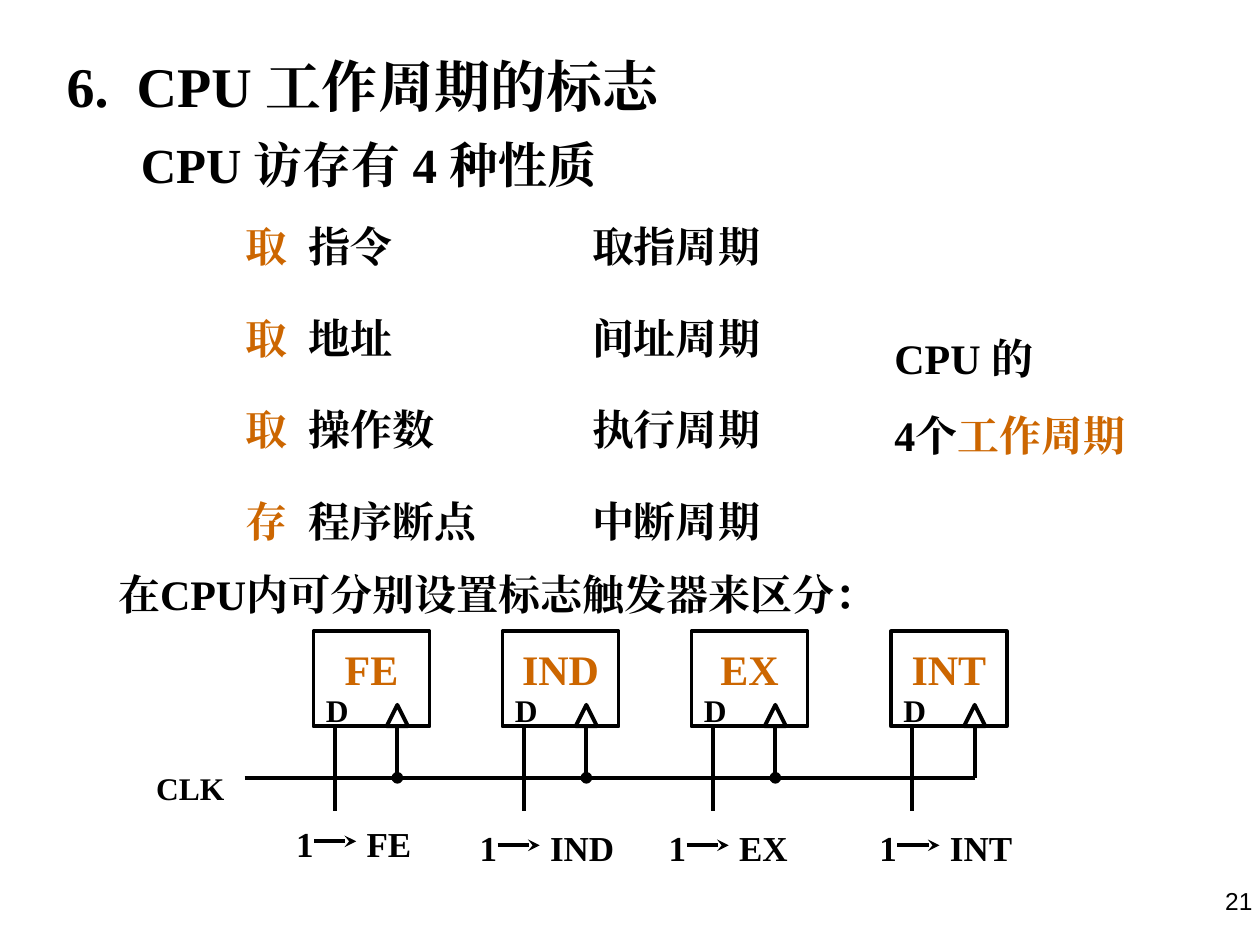
from dataclasses import dataclass

import pptx
import pptx.dml.color
import pptx.enum.shapes
import pptx.enum.text
import pptx.oxml.ns
import pptx.util
from lxml import etree

Cm = pptx.util.Cm
Pt = pptx.util.Pt
ALIGN = pptx.enum.text.PP_ALIGN
SHAPES = pptx.enum.shapes.MSO_SHAPE
qn = pptx.oxml.ns.qn


@dataclass(frozen=True)
class Theme:
    """Colours, typefaces and sizes of the slide."""
    ink: str = "000000"
    accent: str = "CC6600"
    serif: str = "Times New Roman"
    sans: str = "Arial"
    title: int = 32
    subtitle: int = 28
    body: int = 24
    signal: int = 20
    pin: int = 18
    number: int = 14
    line: float = 2.25


THEME = Theme()


def rgb(value):
    """Return a colour from its hex value."""
    return pptx.dml.color.RGBColor.from_string(value)


def apply(target, values):
    """Set each attribute of the target from a dict."""
    for name, value in values.items():
        setattr(target, name, value)


def place(shape, box):
    """Move a shape to a box given in centimetres."""
    apply(shape, dict(zip(("left", "top", "width", "height"), map(Cm, box))))


def write(shape, lines, size, gap=0, face=THEME.serif, bold=True, align=ALIGN.LEFT, **frame_format):
    """Fill a shape with lines, each a list of (text, colour) runs."""
    frame = shape.text_frame
    apply(frame, {
        "word_wrap": True,
        "auto_size": pptx.enum.text.MSO_AUTO_SIZE.NONE,
        "vertical_anchor": pptx.enum.text.MSO_ANCHOR.TOP,
        **frame_format,
    })
    for index, runs in enumerate(lines):
        paragraph = frame.add_paragraph() if index else frame.paragraphs[0]
        properties = paragraph._p.get_or_add_pPr()
        apply(paragraph, {"alignment": align, "space_before": Pt(gap if index else 0)})
        if shape.is_placeholder:
            properties.set("marL", "0")
            properties.set("indent", "0")
            etree.SubElement(properties, qn("a:buNone"))
        for text, color in runs:
            run = paragraph.add_run()
            run.text = text
            apply(run.font, {"name": face, "size": Pt(size), "bold": bold})
            run.font.color.rgb = rgb(color)
            etree.SubElement(run._r.get_or_add_rPr(), qn("a:ea"), typeface=face)


def add_text(slide, box, lines, size, **options):
    """Add a text box."""
    shape = slide.shapes.add_textbox(*map(Cm, box))
    write(shape, lines, size, **options)


def add_outline(slide, kind, box):
    """Add an unfilled preset shape."""
    shape = slide.shapes.add_shape(kind, *map(Cm, box))
    shape.shadow.inherit = False
    shape.fill.background()
    shape.line.color.rgb = rgb(THEME.ink)
    shape.line.width = Pt(THEME.line)
    return shape


def add_line(slide, start, end, tail=None):
    """Add a straight connector with an optional end mark."""
    connector = slide.shapes.add_connector(
        pptx.enum.shapes.MSO_CONNECTOR.STRAIGHT, *map(Cm, (*start, *end)))
    connector.line.color.rgb = rgb(THEME.ink)
    connector.line.width = Pt(THEME.line)
    if tail:
        etree.SubElement(connector.line._get_or_add_ln(), qn("a:tailEnd"), type=tail)
    etree.SubElement(connector._element.spPr, qn("a:effectLst"))


def add_headings(slide, left, top):
    """Place the title and the line under it."""
    title = slide.shapes.title
    place(title, (left, top, 15.88, 1.63))
    write(title, [[("6.  CPU 工作周期的标志", THEME.ink)]], THEME.title)
    add_text(slide, (left + 1.5, top + 1.68, 14.81, 1.45),
             [[("CPU 访存有 4 种性质", THEME.ink)]], THEME.subtitle)


def add_cycles(slide, left, top):
    """Place the access list, the matching cycles and their summary."""
    accesses = [("取", "指令"), ("取", "地址"), ("取", "操作数"), ("存", "程序断点")]
    cycles = ["取指周期", "间址周期", "执行周期", "中断周期"]
    columns = [
        [[(verb, THEME.accent), ("  " + item, THEME.ink)] for verb, item in accesses],
        [[(cycle, THEME.ink)] for cycle in cycles],
    ]
    for index, lines in enumerate(columns):
        column = slide.placeholders[index + 1]
        place(column, (left + index * 6.98, top, 6.15, 6.78))
        write(column, lines, THEME.body, gap=23.5)
    add_text(slide, (left + 13.08, top + 2.26, 7.62, 2.82),
             [[("CPU 的", THEME.ink)], [("4个", THEME.ink), ("工作周期", THEME.accent)]],
             THEME.body, gap=15)


def add_flip_flop(slide, name, left, top, bus, dotted):
    """Draw a flip-flop with its data pin and clock input."""
    width, height, edge, pin, clock = 2.34, 1.91, 0.43, 0.43, 1.69
    bottom = top + height
    body = add_outline(slide, SHAPES.RECTANGLE, (left, top, width, height))
    write(body, [[(name, THEME.accent)]], THEME.body, align=ALIGN.CENTER, margin_top=Cm(0.25))
    add_text(slide, (left, top + 1.07, 1, 1.02), [[("D", THEME.ink)]], THEME.pin)
    add_outline(slide, SHAPES.ISOSCELES_TRIANGLE,
                (left + clock - edge / 2, bottom - edge, edge, edge))
    add_line(slide, (left + pin, bottom), (left + pin, bottom + 1.7))
    add_line(slide, (left + clock, bottom), (left + clock, bus), "oval" if dotted else None)


def add_set_label(slide, name, left, top):
    """Write that one is sent to a flag."""
    add_text(slide, (left, top, 1, 1.12), [[("1", THEME.ink)]], THEME.signal)
    add_line(slide, (left + 0.61, top + 0.5), (left + 1.46, top + 0.5), "stealth")
    add_text(slide, (left + 1.42, top, 2, 1.12), [[(name, THEME.ink)]], THEME.signal)


def add_circuit(slide, left, top):
    """Place the flag flip-flops on their shared clock line."""
    bus = top + 2.95
    flags = [("FE", 3.42, 2.82, 3.73), ("IND", 7.23, 6.52, 3.81),
             ("EX", 11.04, 10.33, 3.81), ("INT", 15.06, 14.58, 3.81)]
    for name, offset, label, drop in flags:
        add_flip_flop(slide, name, left + offset, top, bus, name != "INT")
        add_set_label(slide, name, left + label, top + drop)
    add_line(slide, (left + 2.03, bus), (left + 16.75, bus))
    add_text(slide, (left, top + 2.64, 2.1, 1.02), [[("CLK", THEME.ink)]], THEME.pin)


def main():
    """Build the slide and save it."""
    presentation = pptx.Presentation()
    apply(presentation, {"slide_width": Cm(25.4), "slide_height": Cm(19.05)})
    slide = presentation.slides.add_slide(presentation.slide_layouts[3])
    add_headings(slide, 1.09, 0.91)
    add_cycles(slide, 4.7, 4.32)
    add_text(slide, (2.13, 11.33, 16.38, 1.27),
             [[("在CPU内可分别设置标志触发器来区分：", THEME.ink)]], THEME.body)
    add_circuit(slide, 2.9, 12.73)
    add_text(slide, (19.58, 17.73, 5.92, 1.32), [[("21", THEME.ink)]], THEME.number,
             face=THEME.sans, bold=False, align=ALIGN.RIGHT)
    presentation.save("out.pptx")


if __name__ == "__main__":
    main()
